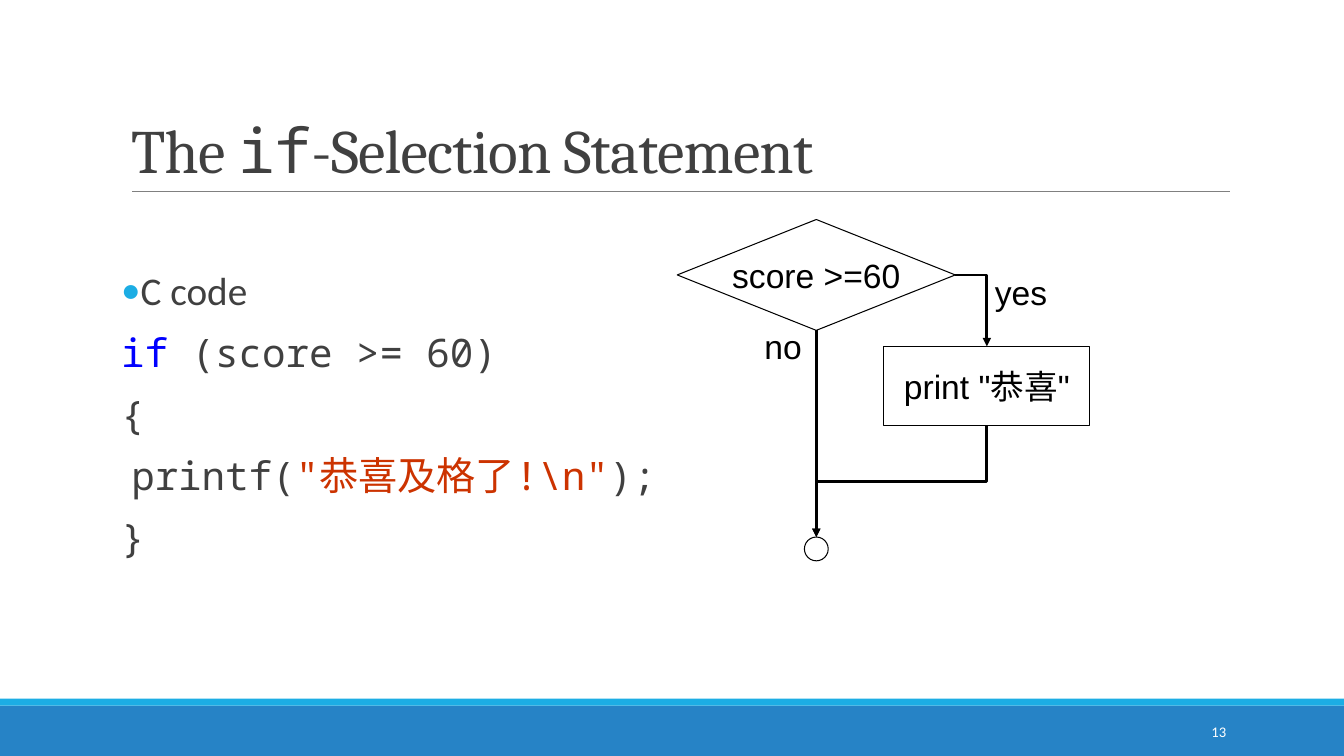
import pptx
import pptx.util
import pptx.dml.color
import pptx.enum.shapes
import pptx.enum.text
import pptx.oxml
import pptx.oxml.ns

Pt = pptx.util.Pt
RGBColor = pptx.dml.color.RGBColor
Shape = pptx.enum.shapes.MSO_SHAPE
Connector = pptx.enum.shapes.MSO_CONNECTOR
Anchor = pptx.enum.text.MSO_ANCHOR
Align = pptx.enum.text.PP_ALIGN

BLACK = RGBColor(0x00, 0x00, 0x00)
WHITE = RGBColor(0xFF, 0xFF, 0xFF)
DARK = RGBColor(0x40, 0x40, 0x40)
GRAY = RGBColor(0x80, 0x80, 0x80)
BAND = RGBColor(0x26, 0x83, 0xC6)
ACCENT = RGBColor(0x1C, 0xAD, 0xE4)
KEYWORD = RGBColor(0x00, 0x00, 0xFF)
STRING = RGBColor(0xCC, 0x33, 0x00)
MONO = "Noto Sans Mono"
NAMESPACE = pptx.oxml.ns.nsdecls("a")


def add_span(para, text, font, size, color):
    span = para.add_run()
    span.text = text
    for name, value in {"name": font, "size": Pt(size)}.items():
        setattr(span.font, name, value)
    span.font.color.rgb = color
    return span


def add_box(kind, place, fill=None, line=None, text=None, align=Align.CENTER, inset=None):
    place = [Pt(value) for value in place]
    if kind is None:
        box = page.shapes.add_textbox(*place)
    else:
        box = page.shapes.add_shape(kind, *place)
        box.shadow.inherit = False
        if fill is None:
            box.fill.background()
        else:
            box.fill.solid()
            box.fill.fore_color.rgb = fill
        if line is None:
            box.line.fill.background()
        else:
            box.line.color.rgb = line
            box.line.width = Pt(0.75)
    frame = box.text_frame
    frame.word_wrap = kind is None
    frame.vertical_anchor = Anchor.MIDDLE
    if inset is not None:
        for side in ("left", "top", "right", "bottom"):
            setattr(frame, f"margin_{side}", Pt(inset))
    if text:
        frame.paragraphs[0].alignment = align
        add_span(frame.paragraphs[0], text, "Arial", 24, BLACK)
    return box


deck = pptx.Presentation()
deck.slide_width = Pt(960)
deck.slide_height = Pt(540)
page = deck.slides.add_slide(deck.slide_layouts[6])

add_box(Shape.RECTANGLE, (0, 504, 960, 36), fill=BAND)
add_box(Shape.RECTANGLE, (0, 499, 960, 5), fill=ACCENT)

number = add_box(None, (780, 508.5, 103, 28.75)).text_frame.paragraphs[0]
number.alignment = Align.RIGHT
add_span(number, "13", "Calibri", 10.5, WHITE)

title = add_box(None, (86.6, 22.5, 792, 114.2)).text_frame
title.vertical_anchor = Anchor.BOTTOM
title.paragraphs[0].line_spacing = 0.85
for text, font in (("The ", "Cambria"), ("if", MONO), ("-Selection Statement", "Cambria")):
    span = add_span(title.paragraphs[0], text, font, 44, DARK)
    span.font._element.set("spc", "-50")

code = add_box(None, (86.6, 190.2, 400, 240)).text_frame
code.vertical_anchor = Anchor.TOP
code.margin_left = code.margin_right = 0
lines = [
    [("C code", "Calibri", DARK)],
    [("if", MONO, KEYWORD), (" (score >= 60)", MONO, DARK)],
    [("{", MONO, DARK)],
    [("printf(", MONO, DARK), ('"恭喜及格了!\\n"', MONO, STRING), (");", MONO, DARK)],
    [("}", MONO, DARK)],
]
for index, spans in enumerate(lines):
    para = code.add_paragraph() if index else code.paragraphs[0]
    layout = {"line_spacing": 0.9, "space_before": Pt(12 if index else 0), "space_after": Pt(2)}
    for name, value in layout.items():
        setattr(para, name, value)
    for text, font, color in spans:
        add_span(para, text, font, 28, color)
    properties = para._p.get_or_add_pPr()
    properties.set("marL", str(Pt(7.2)))
    properties.set("indent", str(0 if index == 3 else -Pt(7.2)))
    if index == 0:
        for bullet in (
            f'<a:buClr {NAMESPACE}><a:srgbClr val="{ACCENT}"/></a:buClr>',
            f'<a:buFont {NAMESPACE} typeface="Calibri"/>',
            f'<a:buChar {NAMESPACE} char="•"/>',
        ):
            properties.append(pptx.oxml.parse_xml(bullet))
    elif index != 3:
        properties.set("marL", "0")
        properties.set("indent", "0")

add_box(Shape.FLOWCHART_DECISION, (483.8, 156.8, 198.6, 79.2), line=BLACK, text="score >=60")
add_box(Shape.FLOWCHART_PROCESS, (631.2, 247.4, 147.4, 56.6), line=BLACK, text='print "恭喜"')
add_box(Shape.FLOWCHART_CONNECTOR, (574.6, 383.6, 17, 17), line=BLACK)
for text, place in (("yes", (710.6, 196.8, 51, 23)), ("no", (546, 236, 34, 23))):
    add_box(Shape.FLOWCHART_PROCESS, place, text=text, align=Align.LEFT, inset=0)

connectors = [
    ("line", (94.4, 136.6, 878.8, 136.6), GRAY, 0.5, False, 0),
    ("bentConnector2", (682.4, 196.4, 704.9, 247.4), BLACK, 2, True, 0),
    ("line", (583.1, 236, 583.1, 383.6), BLACK, 2, True, 0),
    ("bentConnector3", (604.2, 282.9, 683.8, 404.7), BLACK, 2, True, 90),
]
for preset, ends, color, width, arrow, turn in connectors:
    kind = Connector.STRAIGHT if preset == "line" else Connector.ELBOW
    link = page.shapes.add_connector(kind, *[Pt(value) for value in ends])
    link.line.color.rgb = color
    link.line.width = Pt(width)
    properties = link._element.spPr
    properties.find(pptx.oxml.ns.qn("a:prstGeom")).set("prst", preset)
    if turn:
        properties.find(pptx.oxml.ns.qn("a:xfrm")).set("rot", str(turn * 60000))
    if arrow:
        tail = pptx.oxml.parse_xml(f'<a:tailEnd {NAMESPACE} type="triangle"/>')
        properties.find(pptx.oxml.ns.qn("a:ln")).append(tail)
    properties.append(pptx.oxml.parse_xml(f"<a:effectLst {NAMESPACE}/>"))

deck.save("out.pptx")
